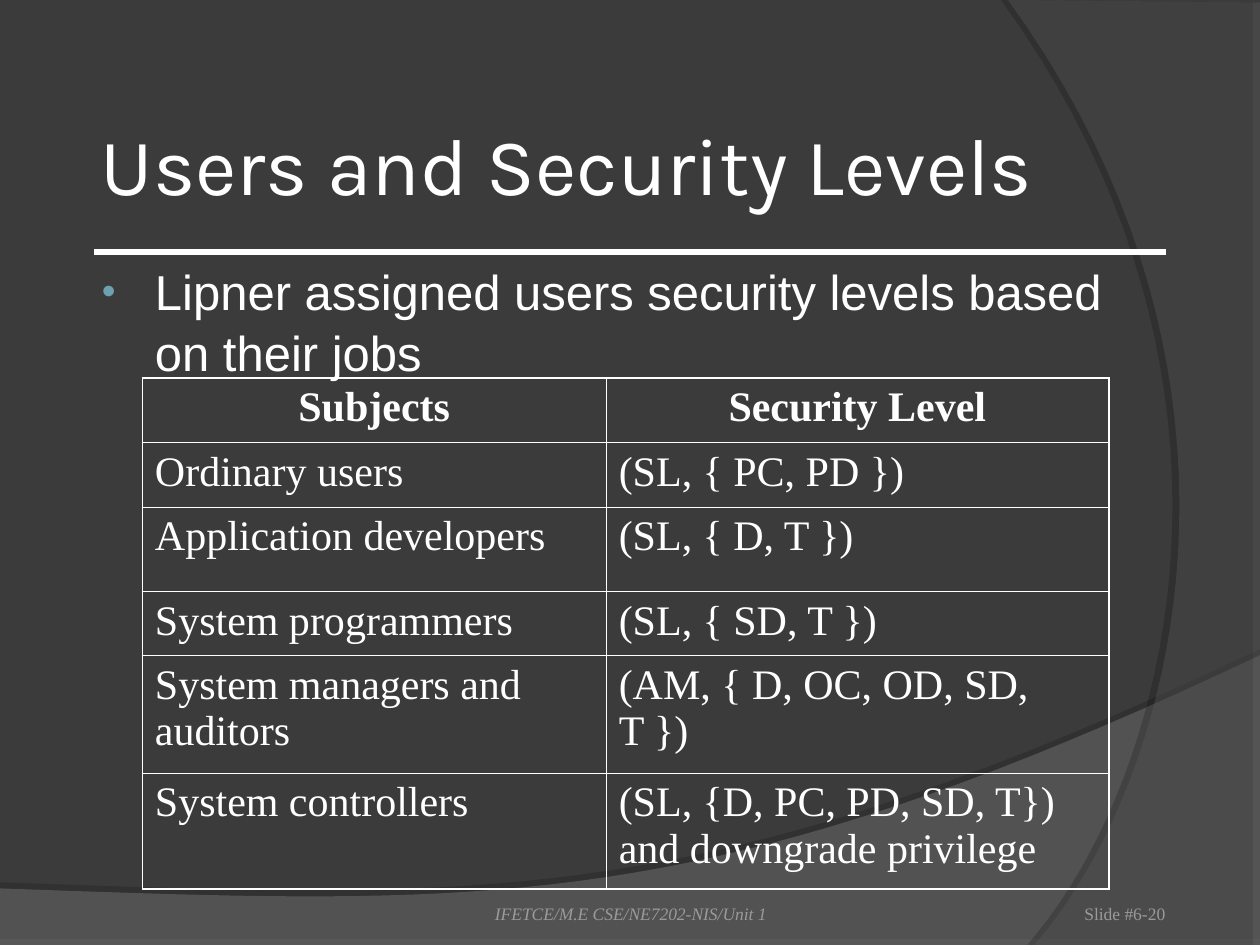
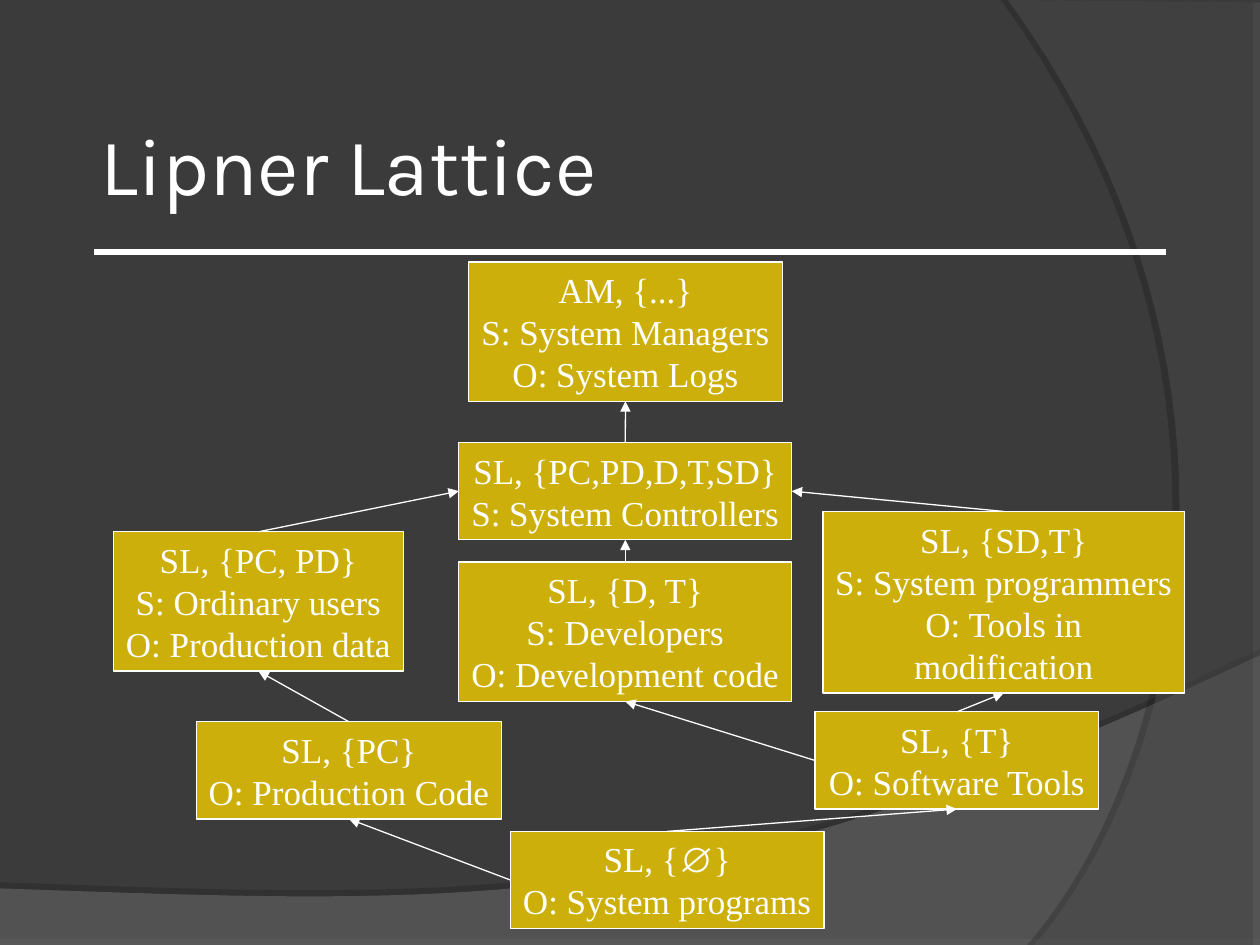
"""Build two slides on the Lipner model: user security levels and the lattice."""
from itertools import groupby

from lxml.etree import SubElement
from pptx import Presentation
from pptx.dml.color import RGBColor
from pptx.enum.shapes import MSO_CONNECTOR, MSO_SHAPE
from pptx.enum.text import MSO_ANCHOR as Anchor, MSO_AUTO_SIZE as AutoSize, PP_ALIGN as Align
from pptx.oxml.ns import qn
from pptx.util import Cm, Pt

SLATE, WHITE, GOLD = "3B3B3B", "FFFFFF", "CCAF0A"
FOOTER_GREY, BULLET_BLUE = "9B9A98", "6EA0B0"
SERIF, SANS, TITLE_FONT = "Times New Roman", "Arial", "Karla"
TOP, LEFT, BOTTOM, RIGHT = 0, 1, 2, 3
EMPTY_SET, LINE_BREAK = "∅", "\v"

LEVELS = [
    ("Subjects", "Security Level", 1.3),
    ("Ordinary users", "(SL, { PC, PD })", 1.3),
    ("Application developers", "(SL, { D, T })", 1.7),
    ("System programmers", "(SL, { SD, T })", 1.3),
    ("System managers and auditors", "(AM, { D, OC, OD, SD, T })", 2.36),
    ("System controllers", "(SL, {D, PC, PD, SD, T}) and downgrade privilege", 2.34),
]
LATTICE = {
    "users": (2.29, 10.72, 5.84, "SL, {PC, PD}\nS: Ordinary users\nO: Production data"),
    "developers": (9.25, 11.33, 6.71, "SL, {D, T}\nS: Developers\nO: Development code"),
    "tools": (16.43, 14.35, 5.72, "SL, {T}\nO: Software Tools"),
    "code": (3.96, 14.55, 6.15, "SL, {PC}\nO: Production Code"),
    "programs": (10.29, 16.76, 6.32, "SL, {∅}\nO: System programs"),
    "programmers": (16.59, 10.31, 7.29,
                    "SL, {SD,T}\nS: System programmers\nO: Tools in\vmodification"),
    "managers": (9.45, 5.28, 6.32, "AM, {...}\nS: System Managers\nO: System Logs"),
    "controllers": (9.25, 8.92, 6.71, "SL, {PC,PD,D,T,SD}\nS: System Controllers"),
}
FLOWS = [
    ("programs", LEFT, "code", BOTTOM),
    ("code", TOP, "users", BOTTOM),
    ("programs", TOP, "tools", BOTTOM),
    ("tools", LEFT, "developers", BOTTOM),
    ("tools", TOP, "programmers", BOTTOM),
    ("programmers", TOP, "controllers", RIGHT),
    ("developers", TOP, "controllers", BOTTOM),
    ("users", TOP, "controllers", LEFT),
    ("controllers", TOP, "managers", BOTTOM),
]


def rgb(hex_color):
    """Turn a hex string into a colour."""
    return RGBColor.from_string(hex_color)


def add_xml(parent, tag, **attributes):
    """Append a child element and return it."""
    return SubElement(parent, qn(tag), {key: str(value) for key, value in attributes.items()})


def place(item, left, top, width, height):
    """Move and size a placeholder in centimetres."""
    item.left, item.top, item.width, item.height = map(Cm, (left, top, width, height))


def put_text(frame, text, font=SERIF, size=20, color=WHITE, bold=False, italic=False,
             align=Align.LEFT, anchor=None, insets=None, wrap=None):
    """Write formatted paragraphs, one per line of text."""
    if wrap is not None:
        frame.word_wrap = wrap
        frame.auto_size = AutoSize.NONE
    if anchor is not None:
        frame.vertical_anchor = anchor
    if insets:
        (frame.margin_left, frame.margin_top,
         frame.margin_right, frame.margin_bottom) = map(Cm, insets)
    for index, line in enumerate(text.split("\n")):
        paragraph = frame.add_paragraph() if index else frame.paragraphs[0]
        paragraph.alignment = align
        for special, chars in groupby(line, lambda c: c if c in EMPTY_SET + LINE_BREAK else ""):
            if special == LINE_BREAK:
                paragraph.add_line_break()
                continue
            run = paragraph.add_run()
            run.text = "".join(chars)
            run.font.name = SANS if special else font
            run.font.size = Pt(size)
            run.font.bold, run.font.italic = bold, italic
            run.font.color.rgb = rgb(color)


def style_line(connector, width):
    """Give a connector a plain white line and no shadow."""
    connector.line.color.rgb = rgb(WHITE)
    connector.line.width = Pt(width)
    add_xml(connector._element.spPr, "a:effectLst")


def bezier(start, first, second, end, steps=40):
    """Return points along a cubic curve, without its start."""
    return [tuple((1 - t) ** 3 * a + 3 * t * (1 - t) ** 2 * b + 3 * t * t * (1 - t) * c + t ** 3 * d
                  for a, b, c, d in zip(start, first, second, end))
            for t in (step / steps for step in range(1, steps + 1))]


def add_swoosh(slide, corners, curve, color, opacity, shade, distance, direction):
    """Draw a translucent curved area with a hard shadow."""
    points = [tuple(map(Cm, point)) for point in corners + bezier(corners[-1], *curve)]
    builder = slide.shapes.build_freeform(*points[0], scale=1.0)
    builder.add_line_segments(points[1:], close=True)
    swoosh = builder.convert_to_shape()
    swoosh.fill.solid()
    swoosh.fill.fore_color.rgb = rgb(color)
    swoosh.line.fill.background()
    swoosh.shadow.inherit = False
    properties = swoosh._element.spPr
    add_xml(properties.find(".//" + qn("a:srgbClr")), "a:alpha", val=opacity * 1000)
    shadow = add_xml(properties.find(qn("a:effectLst")), "a:outerShdw", blurRad=0,
                     dist=Pt(distance), dir=direction * 60000, algn="ctr", rotWithShape=0)
    add_xml(add_xml(shadow, "a:srgbClr", val="000000"), "a:alpha", val=shade * 1000)
    return swoosh


def set_backdrop(master, slide):
    """Draw the shared background and title rule, and move them to the master."""
    master.background.fill.solid()
    master.background.fill.fore_color.rgb = rgb(SLATE)
    wave = add_swoosh(slide, [(0, 17.91), (0, 19.05), (25.4, 19.05), (25.4, 13.21)],
                      [(14.2, 18.52), (9.93, 18.26), (0, 17.91)], "7C7C7C", 45, 35, 3.5, 270)
    sweep = add_swoosh(slide, [(25.4, 0.05), (25.4, 19.05), (20.85, 19.05)],
                       [(23.75, 15.72), (25.86, 7.62), (20.32, 0)], "595959", 40, 45, 4, 180)
    rule = slide.shapes.add_connector(MSO_CONNECTOR.STRAIGHT, Cm(1.9), Cm(5.08), Cm(23.5), Cm(5.08))
    style_line(rule, 3)
    for index, part in enumerate((wave, sweep, rule)):
        part._element.xpath(".//p:cNvPr")[0].set("id", str(100 + index))
        master.shapes._spTree.insert(2 + index, part._element)


def set_title(slide, text):
    """Fill the title placeholder."""
    title = slide.shapes.title
    place(title, 1.9, 1.7, 21.6, 3.18)
    put_text(title.text_frame, text, font=TITLE_FONT, size=46, anchor=Anchor.MIDDLE,
             insets=[0.13] * 4, wrap=True)


def set_bullet(slide, text):
    """Fill the body placeholder with one bulleted statement."""
    body = slide.placeholders[1]
    place(body, 1.7, 5.08, 21.8, 3.6)
    put_text(body.text_frame, text, font=SANS, size=28, anchor=Anchor.TOP, wrap=True)
    paragraph = body.text_frame.paragraphs[0]
    paragraph.space_before = Pt(0)
    paragraph.line_spacing = 1.05
    properties = paragraph._p.get_or_add_pPr()
    properties.set("marL", str(Cm(1.17)))
    properties.set("indent", str(Cm(-1.07)))
    add_xml(add_xml(properties, "a:buClr"), "a:srgbClr", val=BULLET_BLUE)
    add_xml(properties, "a:buSzPct", val=80000)
    add_xml(properties, "a:buFont", typeface=SANS)
    add_xml(properties, "a:buChar", char="•")


def add_footer(slide, left, width, text, **style):
    """Add a small grey note at the foot of the slide."""
    note = slide.shapes.add_textbox(Cm(left), Cm(17.35), Cm(width), Cm(1.27))
    put_text(note.text_frame, text, size=10, color=FOOTER_GREY, anchor=Anchor.BOTTOM,
             insets=[0] * 4, wrap=True, **style)


def set_borders(cell, outer_sides):
    """Draw white cell borders, heavier on the table's outer sides."""
    properties = cell._tc.get_or_add_tcPr()
    for side, is_outer in zip("LRTB", outer_sides):
        border = add_xml(properties, f"a:ln{side}", w=Pt(1.08 if is_outer else 0.45))
        add_xml(add_xml(border, "a:solidFill"), "a:srgbClr", val=WHITE)


def add_levels_table(slide):
    """Add the table of subjects and their security levels."""
    heights = [height for *_, height in LEVELS]
    table = slide.shapes.add_table(len(LEVELS), 2, Cm(2.87), Cm(7.62),
                                   Cm(19.48), Cm(sum(heights))).table
    table.first_row = table.horz_banding = False
    table.columns[0].width, table.columns[1].width = Cm(9.35), Cm(10.13)
    for row, (subject, level, height) in enumerate(LEVELS):
        table.rows[row].height = Cm(height)
        is_header = row == 0
        for column, text in enumerate((subject, level)):
            cell = table.cell(row, column)
            set_borders(cell, (column == 0, column == 1, is_header, row == len(LEVELS) - 1))
            cell.fill.background()
            put_text(cell.text_frame, text, size=24, bold=is_header,
                     align=Align.CENTER if is_header else Align.LEFT)


def add_level_box(slide, left, top, width, text):
    """Add a gold lattice box as tall as its lines need."""
    line_count = len(text.splitlines())
    box = slide.shapes.add_shape(MSO_SHAPE.RECTANGLE, Cm(left), Cm(top), Cm(width),
                                 Cm(0.26 + 0.85 * line_count))
    box.shadow.inherit = False
    box.fill.solid()
    box.fill.fore_color.rgb = rgb(GOLD)
    box.line.color.rgb = rgb(WHITE)
    box.line.width = Pt(0.75)
    put_text(box.text_frame, text, align=Align.CENTER, anchor=Anchor.MIDDLE, wrap=False)
    return box


def add_flow(slide, source, source_side, target, target_side):
    """Join two lattice boxes with an arrow."""
    arrow = slide.shapes.add_connector(MSO_CONNECTOR.STRAIGHT, 0, 0, 0, 0)
    arrow.begin_connect(source, source_side)
    arrow.end_connect(target, target_side)
    style_line(arrow, 0.75)
    add_xml(arrow.line._get_or_add_ln(), "a:tailEnd", type="triangle")


def main():
    """Build and save the presentation."""
    deck = Presentation()
    deck.slide_width, deck.slide_height = Cm(25.4), Cm(19.05)

    levels = deck.slides.add_slide(deck.slide_layouts[1])
    set_backdrop(deck.slide_master, levels)
    set_title(levels, "Users and Security Levels")
    set_bullet(levels, "Lipner assigned users security levels based on their jobs")
    add_levels_table(levels)
    add_footer(levels, 8.69, 8.05, "IFETCE/M.E CSE/NE7202-NIS/Unit 1",
               italic=True, align=Align.CENTER)
    add_footer(levels, 18.21, 5.28, "Slide #6-20", align=Align.RIGHT)

    lattice = deck.slides.add_slide(deck.slide_layouts[5])
    set_title(lattice, "Lipner Lattice")
    boxes = {name: add_level_box(lattice, *box) for name, box in LATTICE.items()}
    for source, source_side, target, target_side in FLOWS:
        add_flow(lattice, boxes[source], source_side, boxes[target], target_side)

    deck.save("out.pptx")


if __name__ == "__main__":
    main()
